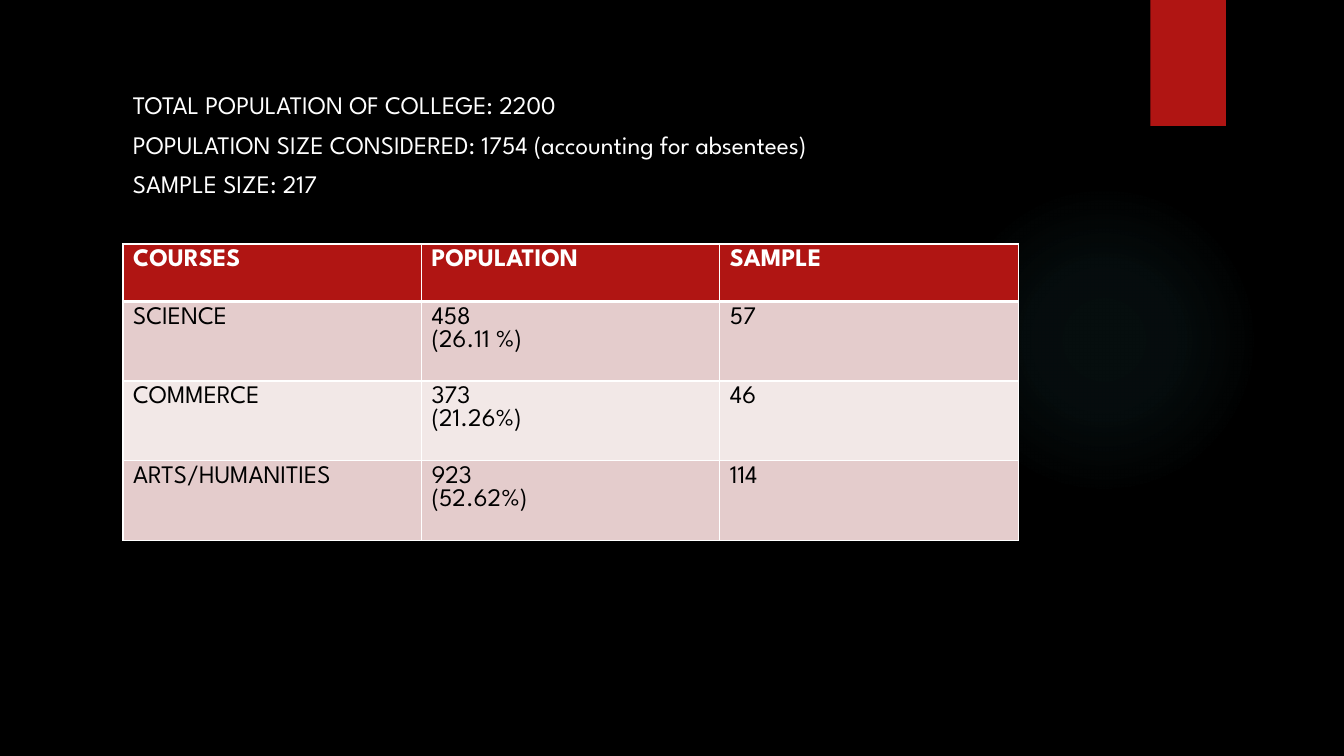
from lxml import etree
from pptx import Presentation
from pptx.dml.color import RGBColor
from pptx.enum import shapes
from pptx.oxml import parse_xml
from pptx.oxml.ns import nsdecls, qn
from pptx.util import Emu, Pt

PX = 9144
FONT = "League Spartan"
COLOURS = {
    "black": "000000",
    "white": "FFFFFF",
    "red": "B01513",
    "rose": "E4CCCC",
    "blush": "F2E8E7",
    "glow": "50B9C1",
}
SUMMARY = [
    "TOTAL POPULATION OF COLLEGE: 2200",
    "POPULATION SIZE CONSIDERED: 1754 (accounting for absentees)",
    "SAMPLE SIZE: 217",
]
COURSES = [
    ["COURSES", "POPULATION", "SAMPLE"],
    ["SCIENCE", "458\n(26.11 %)", "57"],
    ["COMMERCE", "373\n(21.26%)", "46"],
    ["ARTS/HUMANITIES", "923\n(52.62%)", "114"],
]


def px(*lengths):
    """Turn pixel lengths into EMU."""
    return [Emu(length * PX) for length in lengths]


def rgb(name):
    """Look up a colour by name."""
    return RGBColor.from_string(COLOURS[name])


def write(frame, lines, colour="black", size=18, bold=False, spacing=None):
    """Write one paragraph per line into a text frame."""
    frame.word_wrap = True
    for index, line in enumerate(lines):
        para = frame.add_paragraph() if index else frame.paragraphs[0]
        if spacing:
            para.line_spacing = spacing
        span = para.add_run()
        span.text = line
        span.font.name = FONT
        span.font.size = Pt(size)
        span.font.bold = bold
        span.font.color.rgb = rgb(colour)


def add_plain_shape(page, kind, *bounds):
    """Add a preset shape with no outline or shadow."""
    shape = page.shapes.add_shape(kind, *px(*bounds))
    shape.shadow.inherit = False
    shape.line.fill.background()
    return shape


def add_glow(page, *bounds):
    """Add a circle that fades out from its centre."""
    circle = add_plain_shape(page, shapes.MSO_SHAPE.OVAL, *bounds)
    stops = "".join(
        f'<a:gs pos="{place * 1000}"><a:srgbClr val="{COLOURS["glow"]}">'
        f'<a:alpha val="{alpha * 1000}"/></a:srgbClr></a:gs>'
        for place, alpha in [(0, 7), (36, 6), (69, 0)]
    )
    gradient = parse_xml(
        f'<a:gradFill {nsdecls("a")}><a:gsLst>{stops}</a:gsLst><a:path path="circle">'
        '<a:fillToRect l="50000" t="50000" r="50000" b="50000"/></a:path></a:gradFill>'
    )
    circle.element.spPr.find(qn("a:prstGeom")).addnext(gradient)


def add_tab(page, *bounds):
    """Add the solid red tab."""
    tab = add_plain_shape(page, shapes.MSO_SHAPE.RECTANGLE, *bounds)
    tab.fill.solid()
    tab.fill.fore_color.rgb = rgb("red")


def add_summary(page, *bounds):
    """Add the summary text box."""
    box = page.shapes.add_textbox(*px(*bounds))
    write(box.text_frame, SUMMARY, colour="white", spacing=1.3)


def set_borders(cell, **widths):
    """Draw white borders of the given point widths round a cell."""
    properties = cell._tc.get_or_add_tcPr()
    for index, (side, width) in enumerate(widths.items()):
        line = etree.Element(qn(f"a:ln{side}"), w=str(Pt(width)))
        fill = etree.SubElement(line, qn("a:solidFill"))
        etree.SubElement(fill, qn("a:srgbClr"), val=COLOURS["white"])
        properties.insert(index, line)


def add_courses(page, left, top, column_width, row_heights):
    """Add the table of courses."""
    rows, columns = len(COURSES), len(COURSES[0])
    bounds = px(left, top, column_width * columns, sum(row_heights))
    table = page.shapes.add_table(rows, columns, *bounds).table
    for column in table.columns:
        column.width = px(column_width)[0]
    for row, (height, entries) in enumerate(zip(row_heights, COURSES)):
        table.rows[row].height = px(height)[0]
        header = row == 0
        background = "red" if header else ("blush", "rose")[row % 2]
        for column, entry in enumerate(entries):
            cell = table.cell(row, column)
            cell.fill.solid()
            cell.fill.fore_color.rgb = rgb(background)
            write(cell.text_frame, entry.split("\n"),
                  colour="white" if header else "black", bold=header)
            set_borders(cell, L=1, R=1, T=3 if row == 1 else 1, B=3 if header else 1)


def main():
    """Build and save the slide."""
    deck = Presentation()
    deck.slide_width, deck.slide_height = px(1333, 750)
    page = deck.slides.add_slide(deck.slide_layouts[6])
    page.background.fill.solid()
    page.background.fill.fore_color.rgb = rgb("black")
    add_glow(page, 941, 183, 308, 308)
    add_tab(page, 1141, 0, 75, 125)
    add_courses(page, 122, 242, 296, [57, 79, 79, 79])
    add_summary(page, 122, 75, 727, 101)
    deck.save("out.pptx")


if __name__ == "__main__":
    main()
